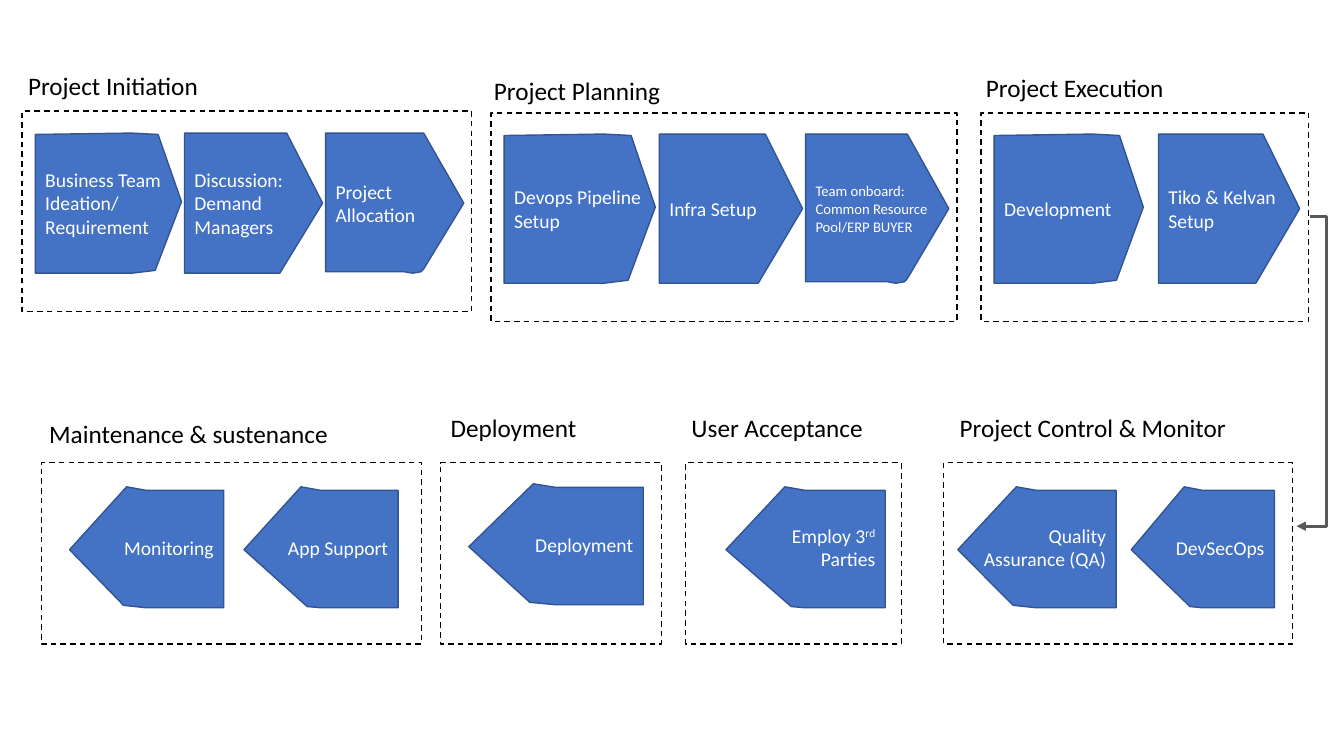
"""Builds the slide of project stages, from initiation to maintenance."""
from dataclasses import dataclass

from lxml.etree import SubElement
from pptx import Presentation
from pptx.dml.color import RGBColor as RGB
from pptx.enum.dml import MSO_LINE
from pptx.enum.shapes import MSO_CONNECTOR as CONNECTOR, MSO_SHAPE as SHAPE
from pptx.enum.text import MSO_ANCHOR as ANCHOR, PP_ALIGN as ALIGN
from pptx.oxml.ns import qn
from pptx.util import Inches, Pt


@dataclass(frozen=True)
class Theme:
    font: str = "Calibri"
    text: RGB = RGB(0, 0, 0)
    step_text: RGB = RGB(255, 255, 255)
    step_fill: RGB = RGB.from_string("4472C4")
    step_line: RGB = RGB.from_string("325491")
    flow: RGB = RGB.from_string("595959")
    title_size: float = 18
    step_size: float = 14
    small_size: float = 10.5


OUTLINES = {
    "wide": [(0, .01), (.66, 0), (.84, .01), (1, .49), (.82, .98), (.66, 1), (0, 1)],
    "sharp": [(0, 0), (.52, 0), (.74, 0), (1, .5), (.69, 1), (.52, 1), (0, 1)],
    "round": [(0, 0), (.5, 0), (.71, 0), (1, .5), (.71, .97), (.69, .99),
              (.63, 1), (.57, .99), (.5, .99), (0, .99)],
    "back": [(0, .52), (.37, 0), (.5, .03), (1, .03), (1, 1), (.5, 1), (.35, .98)],
    "back_sharp": [(0, .52), (.37, 0), (.5, .03), (1, .03), (1, 1), (.5, 1), (.41, .99)],
}

# Each stage: title, title box, frame, then (top, height) of its steps and the
# steps themselves as (outline, left, width, text runs).
STAGES = [
    ("Project Initiation", (.18, .65, 3.35, 1.1), (.22, 1.1, 4.46, 1.99), (1.32, 1.39), [
        ("wide", .35, 1.45, ["Business Team Ideation/ Requirement"]),
        ("sharp", 1.83, 1.37, ["Discussion: Demand Managers"]),
        ("round", 3.23, 1.37, ["Project Allocation"])]),
    ("Project Planning", (4.8, .7, 3.48, 1.08), (4.87, 1.12, 4.62, 2.07), (1.33, 1.48), [
        ("wide", 5, 1.5, ["Devops Pipeline Setup"]),
        ("sharp", 6.54, 1.42, ["Infra Setup"]),
        ("round", 7.99, 1.42, ["Team onboard: Common Resource Pool/ERP BUYER"])]),
    ("Project Execution", (9.68, .67, 3.42, 1.08), (9.73, 1.12, 3.25, 2.07), (1.33, 1.48), [
        ("wide", 9.86, 1.48, ["Development"]),
        ("sharp", 11.49, 1.4, ["Tiko & Kelvan Setup"])]),
    ("Project Control & Monitor", (9.42, 4.04, 3.64, 1.06), (9.36, 4.59, 3.46, 1.8), (4.83, 1.2), [
        ("back", 9.5, 1.57, ["Quality Assurance (QA)"]),
        ("back_sharp", 11.22, 1.42, ["DevSecOps"])]),
    ("User Acceptance", (6.76, 4.04, 2.51, .61), (6.8, 4.59, 2.14, 1.8), (4.83, 1.2), [
        ("back_sharp", 7.2, 1.58, ["Employ 3", "rd", " Parties"])]),
    ("Deployment", (4.37, 4.04, 2.48, .61), (4.37, 4.59, 2.19, 1.8), (4.8, 1.2), [
        ("back", 4.65, 1.73, ["Deployment"])]),
    ("Maintenance & sustenance", (.39, 4.1, 3.96, .61), (.41, 4.59, 3.77, 1.8), (4.83, 1.2), [
        ("back_sharp", 2.42, 1.53, ["App Support"]),
        ("back", .69, 1.53, ["Monitoring"])]),
]


class Deck:
    def __init__(self, prs, theme):
        self.theme = theme
        self.slide = prs.slides.add_slide(prs.slide_layouts[6])

    def put_text(self, tf, runs, size, color, align=ALIGN.LEFT):
        tf.word_wrap = True
        p = tf.paragraphs[0]
        p.alignment = align
        for text in runs:
            r = p.add_run()
            r.text = text
            r.font.name, r.font.size = self.theme.font, Pt(size)
            r.font.color.rgb = color
            if text == "rd":
                r._r.get_or_add_rPr().set("baseline", "30000")

    def frame(self, shapes, box):
        sp = shapes.add_shape(SHAPE.RECTANGLE, *map(Inches, box))
        sp.shadow.inherit = False
        sp.fill.background()
        sp.line.color.rgb = self.theme.text
        sp.line.width = Pt(1)
        sp.line.dash_style = MSO_LINE.DASH

    def step(self, shapes, outline, left, top, width, height, runs):
        points = [(Inches(left + x * width), Inches(top + y * height))
                  for x, y in OUTLINES[outline]]
        builder = shapes.build_freeform(*points[0])
        builder.add_line_segments(points[1:], close=True)
        sp = builder.convert_to_shape()
        sp.shadow.inherit = False
        sp.fill.solid()
        sp.fill.fore_color.rgb = self.theme.step_fill
        sp.line.color.rgb = self.theme.step_line
        sp.line.width = Pt(1)
        sp.text_frame.vertical_anchor = ANCHOR.MIDDLE
        small = runs[0].startswith("Team onboard")
        size = self.theme.small_size if small else self.theme.step_size
        align = ALIGN.RIGHT if outline.startswith("back") else ALIGN.LEFT
        self.put_text(sp.text_frame, runs, size, self.theme.step_text, align)

    def title(self, shapes, text, box):
        sp = shapes.add_textbox(*map(Inches, box))
        self.put_text(sp.text_frame, [text], self.theme.title_size, self.theme.text)

    def stage(self, title, title_box, frame_box, row, steps):
        shapes = self.slide.shapes.add_group_shape().shapes
        top, height = row
        self.frame(shapes, frame_box)
        for outline, left, width, runs in steps:
            self.step(shapes, outline, left, top, width, height, runs)
        self.title(shapes, title, title_box)

    def flow(self, start, end, bend):
        ends = map(Inches, (*start, *end))
        s = self.slide.shapes.add_connector(CONNECTOR.ELBOW, *ends)
        s.line.color.rgb = self.theme.flow
        s.line.width = Pt(2.25)
        props = s._element.spPr
        SubElement(props.find(qn("a:ln")), qn("a:tailEnd"), type="triangle")
        SubElement(props, qn("a:effectLst"))
        guides = props.find(qn("a:prstGeom")).get_or_add_avLst()
        share = (bend - start[0]) / (end[0] - start[0])
        SubElement(guides, qn("a:gd"), name="adj1", fmla=f"val {round(share * 100000)}")


def main():
    prs = Presentation()
    prs.slide_width, prs.slide_height = Inches(13.33), Inches(7.5)
    deck = Deck(prs, Theme())
    for stage in STAGES:
        deck.stage(*stage)
    deck.flow((12.99, 2.15), (12.86, 5.22), bend=13.16)
    prs.save("out.pptx")


if __name__ == "__main__":
    main()
